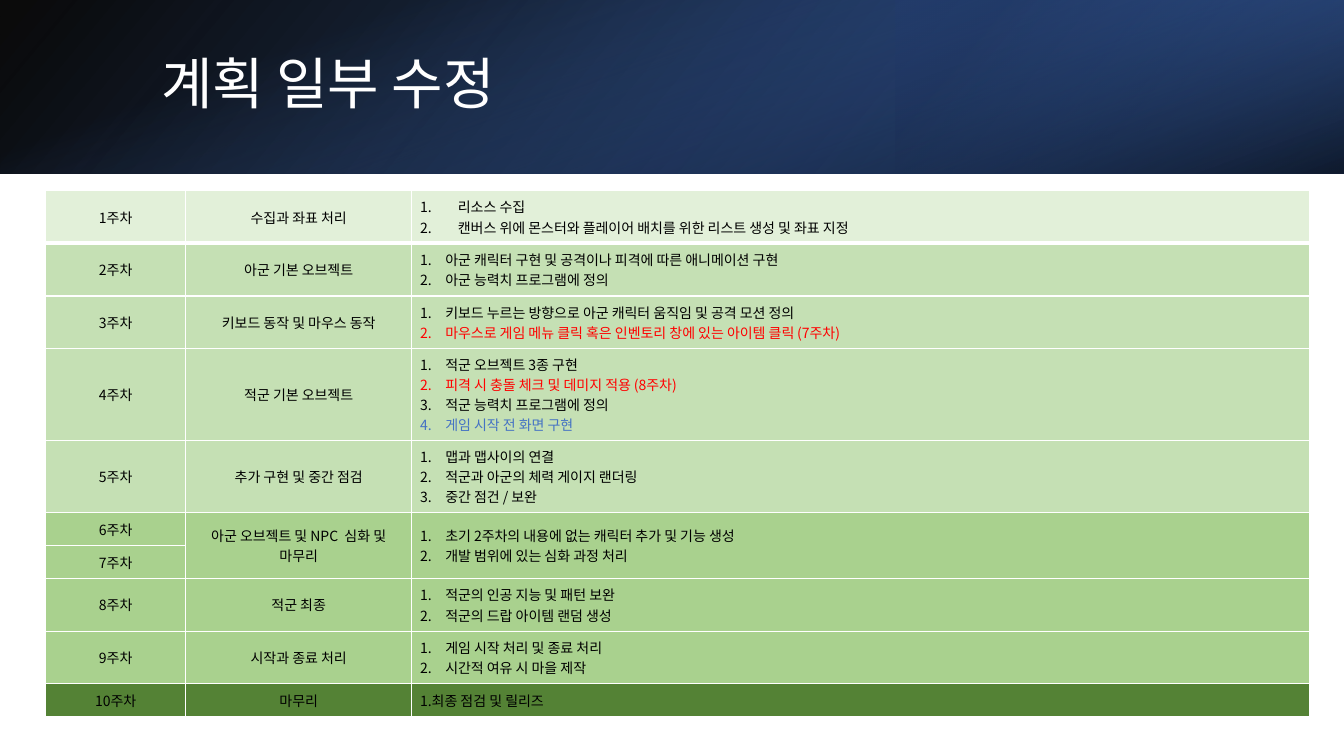
from lxml.etree import SubElement
from pptx import Presentation
from pptx.dml.color import RGBColor
from pptx.enum.shapes import MSO_SHAPE
from pptx.enum.text import MSO_ANCHOR, PP_ALIGN
from pptx.oxml.ns import qn
from pptx.util import Pt

FONT = "Noto Sans CJK KR"
WHITE = RGBColor(0xFF, 0xFF, 0xFF)
BLACK = RGBColor(0, 0, 0)
RED = RGBColor(0xFF, 0, 0)
BLUE = RGBColor(0x44, 0x72, 0xC4)
DEEP_BLUE = RGBColor(0x2F, 0x55, 0x97)
NAVY = RGBColor(0x20, 0x38, 0x64)
PALE_GREEN = RGBColor(0xE2, 0xF0, 0xD9)
LIGHT_GREEN = RGBColor(0xC5, 0xE0, 0xB4)
MID_GREEN = RGBColor(0xA9, 0xD1, 0x8E)
DARK_GREEN = RGBColor(0x54, 0x82, 0x35)

TITLE = "계획 일부 수정"
PLAN = [
    ("수집과 좌표 처리", PALE_GREEN,
     ["리소스 수집", "캔버스 위에 몬스터와 플레이어 배치를 위한 리스트 생성 및 좌표 지정"]),
    ("아군 기본 오브젝트", LIGHT_GREEN,
     ["아군 캐릭터 구현 및 공격이나 피격에 따른 애니메이션 구현", "아군 능력치 프로그램에 정의"]),
    ("키보드 동작 및 마우스 동작", LIGHT_GREEN,
     ["키보드 누르는 방향으로 아군 캐릭터 움직임 및 공격 모션 정의",
      "마우스로 게임 메뉴 클릭 혹은 인벤토리 창에 있는 아이템 클릭 (7주차)"]),
    ("적군 기본 오브젝트", LIGHT_GREEN,
     ["적군 오브젝트 3종 구현", "피격 시 충돌 체크 및 데미지 적용 (8주차)",
      "적군 능력치 프로그램에 정의", "게임 시작 전 화면 구현"]),
    ("추가 구현 및 중간 점검", LIGHT_GREEN,
     ["맵과 맵사이의 연결", "적군과 아군의 체력 게이지 랜더링", "중간 점건 / 보완"]),
    ("아군 오브젝트 및 NPC  심화 및 마무리", MID_GREEN,
     ["초기 2주차의 내용에 없는 캐릭터 추가 및 기능 생성", "개발 범위에 있는 심화 과정 처리"]),
    ("", MID_GREEN, []),
    ("적군 최종", MID_GREEN,
     ["적군의 인공 지능 및 패턴 보완", "적군의 드랍 아이템 랜덤 생성"]),
    ("시작과 종료 처리", MID_GREEN,
     ["게임 시작 처리 및 종료 처리", "시간적 여유 시 마을 제작"]),
    ("마무리", DARK_GREEN, ["1.최종 점검 및 릴리즈"]),
]
ITEM_COLORS = {(3, 2): RED, (4, 2): RED, (4, 4): BLUE}
MERGED_WEEKS = (6, 7)
COLUMN_WIDTHS = (100, 161.5, 641.5)
TABLE_LEFT, TABLE_TOP = 32.6, 136.2
LINE_HEIGHT, ROW_PADDING = 14, 9.6

PAGE_WIDTH, PAGE_HEIGHT, BANNER = 960, 540, 124
BANNER_LAYERS = [
    ((0, 0, PAGE_WIDTH, BANNER), 0, True, 140, [(0, BLACK, 96), (100, DEEP_BLUE, 100)]),
    ((640, 0, 320, BANNER), 180, True, 320, [(19, NAVY, 68), (100, BLUE, 79)]),
    (((PAGE_WIDTH - BANNER) / 2, (BANNER - PAGE_WIDTH) / 2, BANNER, PAGE_WIDTH),
     90, False, 340, [(23, BLUE, 0), (99, BLACK, 74)]),
]


def add_layer(page, place, rotation, flipped, angle, stops):
    layer = page.shapes.add_shape(MSO_SHAPE.RECTANGLE, *map(Pt, place))
    layer.rotation = rotation
    layer.shadow.inherit = False
    layer.line.fill.background()
    properties = layer._element.spPr
    if flipped:
        properties.find(qn("a:xfrm")).set("flipH", "1")
    layer.fill.gradient()
    gradient = properties.find(qn("a:gradFill"))
    for child in list(gradient):
        gradient.remove(child)
    gradient.set("rotWithShape", "1")
    stop_list = SubElement(gradient, qn("a:gsLst"))
    for position, color, opacity in stops:
        stop = SubElement(stop_list, qn("a:gs"), pos=str(position * 1000))
        shade = SubElement(stop, qn("a:srgbClr"), val=str(color))
        SubElement(shade, qn("a:alpha"), val=str(opacity * 1000))
    SubElement(gradient, qn("a:lin"), ang=str(angle * 60000), scaled="0")


def style_paragraph(paragraph, size, color):
    for span in paragraph.runs:
        span.font.size = Pt(size)
        span.font.color.rgb = color
        span.font.name = FONT
        SubElement(span._r.get_or_add_rPr(), qn("a:ea"), typeface=FONT)


def number_paragraph(paragraph, indent):
    properties = paragraph._p.get_or_add_pPr()
    properties.set("marL", str(Pt(indent)))
    properties.set("indent", str(-Pt(indent)))
    SubElement(properties, qn("a:buFont"), typeface="+mj-lt")
    SubElement(properties, qn("a:buAutoNum"), type="arabicPeriod")


def style_cell(cell, week, fill):
    properties = cell._tc.get_or_add_tcPr()
    widths = {"L": 1, "R": 1, "T": 3 if week == 2 else 1, "B": 3 if week == 1 else 1}
    for side, width in widths.items():
        border = SubElement(properties, qn("a:ln" + side), w=str(Pt(width)))
        paint = SubElement(border, qn("a:solidFill"))
        SubElement(paint, qn("a:srgbClr"), val=str(WHITE))
    cell.fill.solid()
    cell.fill.fore_color.rgb = fill
    cell.vertical_anchor = MSO_ANCHOR.MIDDLE
    cell.margin_left = cell.margin_right = Pt(6)
    cell.margin_top = cell.margin_bottom = Pt(3)


deck = Presentation()
deck.slide_width, deck.slide_height = Pt(PAGE_WIDTH), Pt(PAGE_HEIGHT)
page = deck.slides.add_slide(deck.slide_layouts[6])

for layer in BANNER_LAYERS:
    add_layer(page, *layer)

title = page.shapes.add_textbox(Pt(108), Pt(27.4), Pt(790.6), Pt(69))
title.text_frame.word_wrap = True
title.text_frame.vertical_anchor = MSO_ANCHOR.MIDDLE
title.text_frame.text = TITLE
title.text_frame.paragraphs[0].line_spacing = 0.9
style_paragraph(title.text_frame.paragraphs[0], 40, WHITE)

heights = [ROW_PADDING + LINE_HEIGHT * (1 if week in MERGED_WEEKS else len(items))
           for week, (topic, fill, items) in enumerate(PLAN, 1)]
table = page.shapes.add_table(
    len(PLAN), len(COLUMN_WIDTHS), Pt(TABLE_LEFT), Pt(TABLE_TOP),
    Pt(sum(COLUMN_WIDTHS)), Pt(sum(heights))).table
table.first_row = table.horz_banding = False
for column, width in zip(table.columns, COLUMN_WIDTHS):
    column.width = Pt(width)

for week, (topic, fill, items) in enumerate(PLAN, 1):
    row = table.rows[week - 1]
    row.height = Pt(heights[week - 1])
    for cell, text in zip(row.cells, (f"{week}주차", topic, "\n".join(items))):
        style_cell(cell, week, fill)
        cell.text_frame.text = text
    for cell in list(row.cells)[:2]:
        paragraph = cell.text_frame.paragraphs[0]
        paragraph.alignment = PP_ALIGN.CENTER
        style_paragraph(paragraph, 10, BLACK)
    for number, paragraph in enumerate(row.cells[2].text_frame.paragraphs, 1):
        style_paragraph(paragraph, 10, ITEM_COLORS.get((week, number), BLACK))
        if len(items) > 1:
            number_paragraph(paragraph, 27 if week == 1 else 18)

first, last = MERGED_WEEKS
for column in (1, 2):
    table.cell(first - 1, column).merge(table.cell(last - 1, column))

deck.save("out.pptx")
